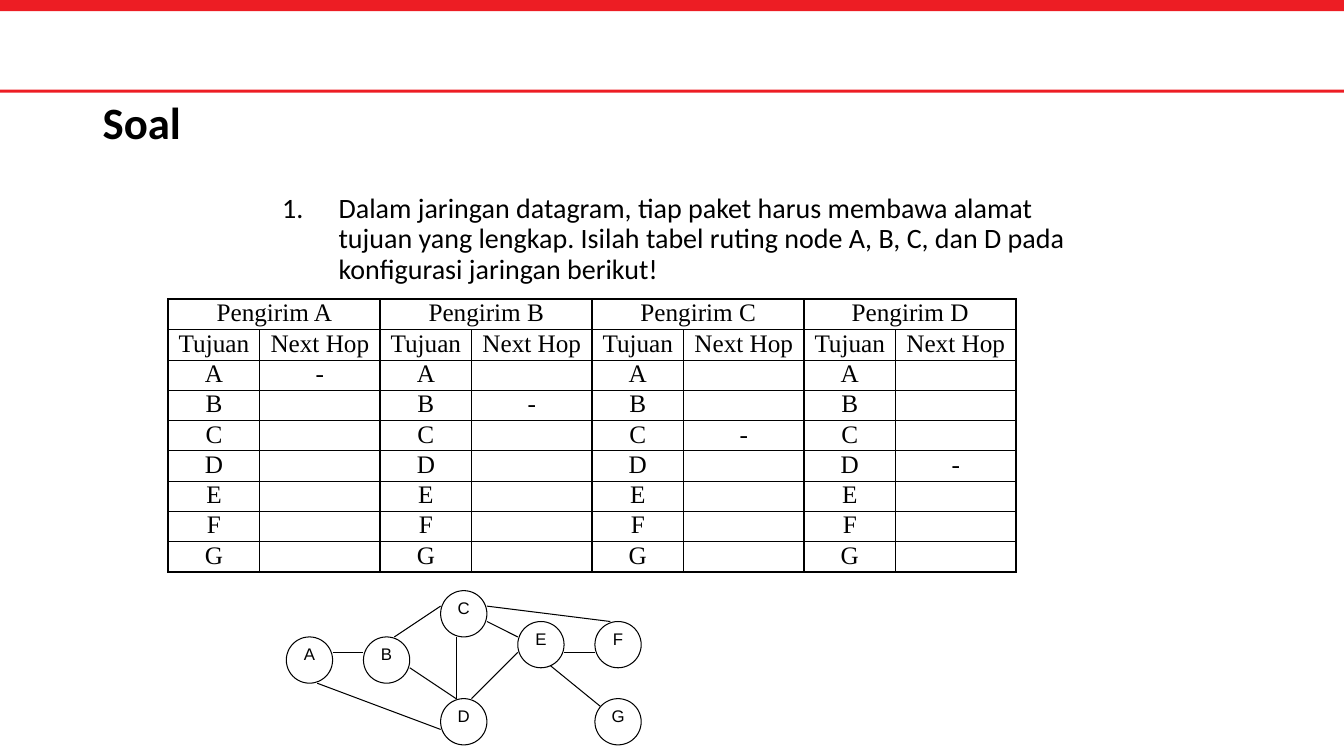
import lxml.etree
import pptx
import pptx.dml.color
import pptx.enum.shapes
import pptx.enum.text
import pptx.oxml
import pptx.oxml.ns
import pptx.util

COLORS = {"red": "ED1D24", "ink": "000000", "paper": "FFFFFF"}
WIDTH, HEIGHT = 13.33, 7.5
NODE_SPAN = 3
NODES = {"A": (0, 3), "B": (5, 3), "C": (10, 0), "D": (10, 7),
         "E": (15, 2), "F": (20, 2), "G": (20, 7)}
LINKS = [((3, 4), (5, 4)), ((7, 3), (10, 1)), ((8, 5), (11, 7)),
         ((13, 2), (15, 3)), ((18, 4), (20, 4)), ((2, 6), (10, 9)),
         ((11, 3), (11, 7)), ((13, 1), (21, 2)), ((12, 7), (15, 4)),
         ((17.1, 4.85), (20.35, 7.5))]
SENDERS = "ABCD"
QUESTION = ("Dalam jaringan datagram, tiap paket harus membawa alamat tujuan yang "
            "lengkap. Isilah tabel ruting node A, B, C, dan D pada konfigurasi "
            "jaringan berikut!")


def inches(*lengths):
    """Convert lengths in inches to slide units."""
    return [pptx.util.Inches(length) for length in lengths]


def color(name):
    """Look up a named colour."""
    return pptx.dml.color.RGBColor.from_string(COLORS[name])


def write(frame, text, font="Calibri", size=18, bold=False, align="LEFT",
          anchor="TOP", insets=(0.1, 0.05, 0.1, 0.05), spacing=None, numbered=None):
    """Put one formatted paragraph into a text frame."""
    frame.word_wrap = True
    frame.vertical_anchor = getattr(pptx.enum.text.MSO_ANCHOR, anchor)
    (frame.margin_left, frame.margin_top,
     frame.margin_right, frame.margin_bottom) = inches(*insets)
    paragraph = frame.paragraphs[0]
    paragraph.alignment = getattr(pptx.enum.text.PP_ALIGN, align)
    if spacing:
        paragraph.line_spacing = spacing
    if numbered:
        properties = paragraph._p.get_or_add_pPr()
        indent = pptx.util.Inches(numbered)
        properties.set("marL", str(indent))
        properties.set("indent", str(-indent))
        lxml.etree.SubElement(properties, pptx.oxml.ns.qn("a:buFont"), typeface="+mj-lt")
        lxml.etree.SubElement(properties, pptx.oxml.ns.qn("a:buAutoNum"), type="arabicPeriod")
    run = paragraph.add_run()
    run.text = text
    run.font.name, run.font.size, run.font.bold = font, pptx.util.Pt(size), bold
    run.font.color.rgb = color("ink")


def add_figure(shapes, kind, box, fill, outline=None):
    """Add a plain filled preset shape."""
    figure = shapes.add_shape(getattr(pptx.enum.shapes.MSO_SHAPE, kind), *inches(*box))
    figure.shadow.inherit = False
    figure.fill.solid()
    figure.fill.fore_color.rgb = color(fill)
    if outline:
        figure.line.color.rgb = color(outline)
        figure.line.width = pptx.util.Pt(0.75)
    else:
        figure.line.fill.background()
    return figure


def add_header(slide, box):
    """Draw the red band and the red rule at the edges of the header."""
    left, top, width, height = box
    add_figure(slide.shapes, "RECTANGLE", (left, top, width, 0.11), "red")
    add_figure(slide.shapes, "RECTANGLE", (left, top + height - 0.03, width, 0.03), "red")


def add_text(slide, box, text, **style):
    """Add a text box."""
    write(slide.shapes.add_textbox(*inches(*box)).text_frame, text, **style)


def set_borders(cell, widths):
    """Draw the left, right, top and bottom borders of a cell."""
    properties = cell._tc.get_or_add_tcPr()
    for position, (side, points) in enumerate(zip("LRTB", widths)):
        properties.insert(position, pptx.oxml.parse_xml(
            f'<a:ln{side} {pptx.oxml.ns.nsdecls("a")} w="{pptx.util.Pt(points)}">'
            f'<a:solidFill><a:srgbClr val="{COLORS["ink"]}"/></a:solidFill></a:ln{side}>'))


def routing_rows():
    """List the routing table texts row by row."""
    rows = [[text for sender in SENDERS for text in (f"Pengirim {sender}", "")],
            ["Tujuan", "Next Hop"] * len(SENDERS)]
    for target in NODES:
        rows.append([text for sender in SENDERS
                     for text in (target, "-" if target == sender else "")])
    return rows


def add_routing_table(slide, box):
    """Build the routing table with a pair of columns for each sender."""
    rows = routing_rows()
    last = len(rows) - 1
    table = slide.shapes.add_table(len(rows), len(rows[0]), *inches(*box)).table
    table.first_row = table.horz_banding = False
    pair_width = box[2] / len(SENDERS)
    for index, column in enumerate(table.columns):
        column.width = pptx.util.Inches(pair_width * (0.57 if index % 2 else 0.43))
    for row in table.rows:
        row.height = pptx.util.Inches(box[3] / len(rows))
    for first in range(0, len(rows[0]), 2):
        table.cell(0, first).merge(table.cell(0, first + 1))
    thin, thick = 0.5, 1.5
    for r, texts in enumerate(rows):
        for c, text in enumerate(texts):
            cell = table.cell(r, c)
            cell.fill.background()
            set_borders(cell, (thin if c % 2 else thick, thick if c % 2 or r == 0 else thin,
                               thick if r == 0 else thin, thick if r == last else thin))
            cell.margin_left = cell.margin_right = pptx.util.Inches(0.08)
            cell.margin_top = cell.margin_bottom = 0
            if text:
                write(cell.text_frame, text, font="Times New Roman", align="CENTER",
                      insets=(0.08, 0, 0.08, 0))
            else:
                lxml.etree.SubElement(cell.text_frame.paragraphs[0]._p,
                                      pptx.oxml.ns.qn("a:endParaRPr"), sz="1200")


def add_network(slide, box):
    """Draw the nodes and links on a grid of 23 columns and 10 rows."""
    left, top, width, height = box
    step_x, step_y = width / 23, height / 10
    network = slide.shapes.add_group_shape()

    def place(point):
        return left + point[0] * step_x, top + point[1] * step_y

    for label, corner in NODES.items():
        node = add_figure(network.shapes, "OVAL",
                          (*place(corner), NODE_SPAN * step_x, NODE_SPAN * step_y),
                          "paper", outline="ink")
        write(node.text_frame, label, font="Arial", size=12, align="CENTER",
              insets=(0, 0, 0, 0))
    for start, end in LINKS:
        link = network.shapes.add_connector(pptx.enum.shapes.MSO_CONNECTOR.STRAIGHT,
                                            *inches(*place(start), *place(end)))
        link.line.color.rgb = color("ink")
        link.line.width = pptx.util.Pt(0.75)
        lxml.etree.SubElement(link._element.spPr, pptx.oxml.ns.qn("a:effectLst"))


def main():
    """Build and save the slide."""
    deck = pptx.Presentation()
    deck.slide_width, deck.slide_height = inches(WIDTH, HEIGHT)
    slide = deck.slides.add_slide(deck.slide_layouts[6])
    add_header(slide, (0, 0, WIDTH, 0.92))
    add_text(slide, (0.92, 0.99, 11.5, 0.5), "Soal", size=32, bold=True,
             anchor="MIDDLE", spacing=0.9)
    add_text(slide, (2.7, 1.88, 8.38, 4.5), QUESTION, size=20, spacing=0.9,
             numbered=0.56, insets=(0.1, 0.05, 0.3, 0.05))
    add_routing_table(slide, (1.67, 2.97, 8.41, 2.7))
    add_network(slide, (2.84, 5.86, 3.52, 1.53))
    deck.save("out.pptx")


if __name__ == "__main__":
    main()
